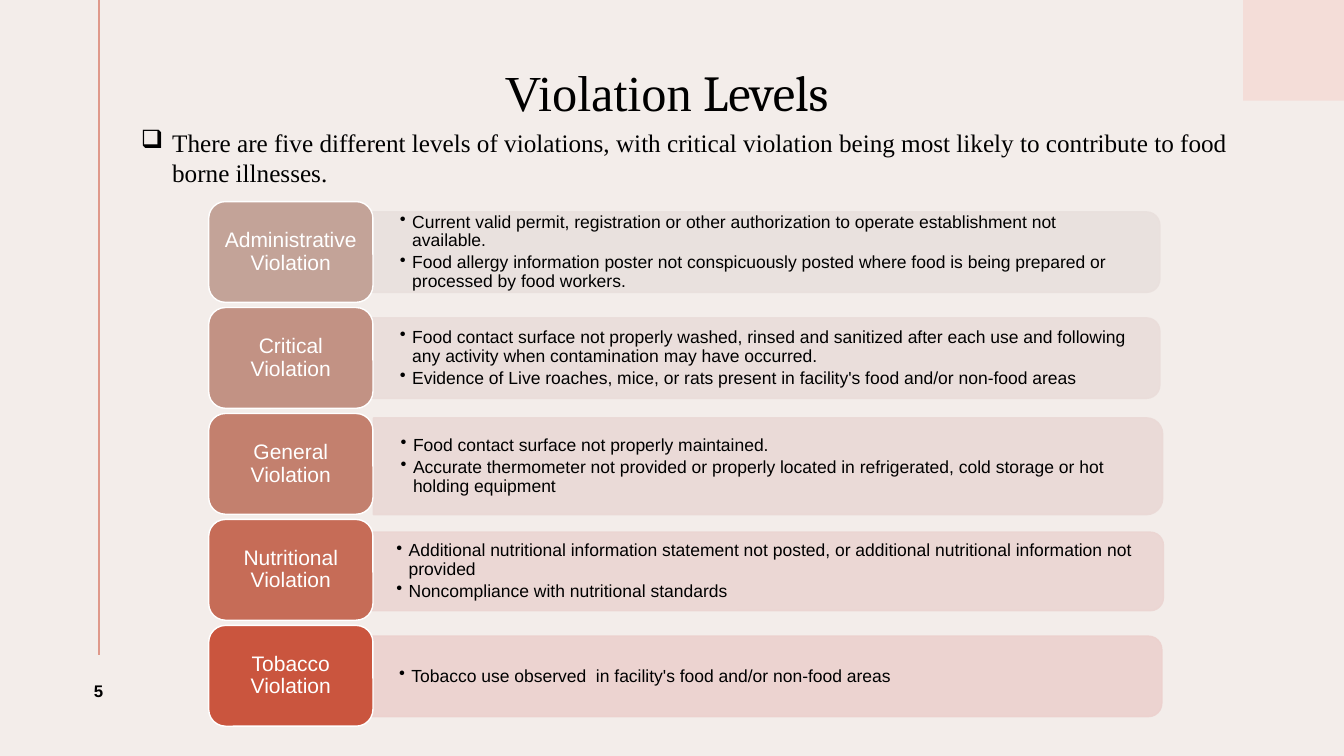
from dataclasses import dataclass

import pptx
import pptx.dml.color
import pptx.enum.shapes
import pptx.enum.text
import pptx.oxml.ns
import pptx.oxml.xmlchemy
import pptx.util
from lxml import etree
from pptx.util import Cm, Pt

Shapes = pptx.enum.shapes.MSO_SHAPE
Align = pptx.enum.text.PP_ALIGN
Anchor = pptx.enum.text.MSO_ANCHOR


@dataclass(frozen=True)
class Theme:
    background: str = "F3EDEA"
    corner: str = "F4DDD8"
    rule: str = "DF998B"
    text: str = "000000"
    light: str = "FFFFFF"
    serif: str = "Times New Roman"
    accent_serif: str = "Cambria"
    sans: str = "Arial"
    title_size: float = 36
    intro_size: float = 18
    label_size: float = 15
    detail_size: float = 12.5
    number_size: float = 12


@dataclass(frozen=True)
class Box:
    """A rectangle in centimetres."""
    left: float
    top: float
    width: float
    height: float


@dataclass(frozen=True)
class Level:
    name: str
    label_color: str
    bar_color: str
    bar: Box
    details: tuple[str, ...]


THEME = Theme()
LABEL_LEFT, LABEL_TOP, LABEL_STEP = 5.26, 5.08, 2.67
LABEL_WIDTH, LABEL_HEIGHT = 4.14, 2.54

LEVELS = (
    Level("Administrative", "C3A398", "E9E0DD", Box(9.39, 5.34, 19.84, 2.03), (
        "Current valid permit, registration or other authorization to operate "
        "establishment not available.",
        "Food allergy information poster not conspicuously posted where food is "
        "being prepared or processed by food workers.")),
    Level("Critical", "C29284", "EADDDA", Box(9.39, 8.01, 19.84, 2.03), (
        "Food contact surface not properly washed, rinsed and sanitized after each "
        "use and following any activity when contamination may have occurred.",
        "Evidence of Live roaches, mice, or rats present in facility's food and/or "
        "non-food areas")),
    Level("General", "C3806E", "EAD9D6", Box(9.41, 10.53, 19.89, 2.44), (
        "Food contact surface not properly maintained.",
        "Accurate thermometer not provided or properly located in refrigerated, "
        "cold storage or hot holding equipment")),
    Level("Nutritional", "C66C57", "EBD5D2", Box(9.3, 13.41, 20.02, 1.98), (
        "Additional nutritional information statement not posted, or additional "
        "nutritional information not provided",
        "Noncompliance with nutritional standards")),
    Level("Tobacco", "CA553E", "ECD1CE", Box(9.37, 16.03, 19.91, 2.03), (
        "Tobacco use observed  in facility's food and/or non-food areas",)),
)


def rgb(color: str) -> pptx.dml.color.RGBColor:
    return pptx.dml.color.RGBColor.from_string(color)


def place(box: Box) -> tuple[Cm, Cm, Cm, Cm]:
    return Cm(box.left), Cm(box.top), Cm(box.width), Cm(box.height)


def add_element(parent, tag: str, **attributes: str):
    return etree.SubElement(parent, pptx.oxml.ns.qn(tag), attributes)


def set_bullet(paragraph, character: str, indent: float) -> None:
    properties = paragraph._p.get_or_add_pPr()
    properties.set("marL", str(Cm(indent)))
    properties.set("indent", str(-Cm(indent)))
    add_element(properties, "a:buChar", char=character)


def set_font(paragraph, name: str, size: float, color: str) -> None:
    paragraph.font.name = name
    paragraph.font.size = Pt(size)
    paragraph.font.color.rgb = rgb(color)


def set_frame(frame, horizontal: float, vertical: float, anchor) -> None:
    """Wrap the text and set its margins, in centimetres, and its anchor."""
    frame.word_wrap = True
    frame.margin_left = frame.margin_right = Cm(horizontal)
    frame.margin_top = frame.margin_bottom = Cm(vertical)
    frame.vertical_anchor = anchor


def add_block(slide, kind, box: Box, fill: str, line: str | None = None):
    shape = slide.shapes.add_shape(kind, *place(box))
    shape.shadow.inherit = False
    shape.fill.solid()
    shape.fill.fore_color.rgb = rgb(fill)
    if line:
        shape.line.color.rgb = rgb(line)
        shape.line.width = Pt(1)
    else:
        shape.line.fill.background()
    return shape


def add_text(slide, box: Box, horizontal: float, vertical: float, anchor):
    frame = slide.shapes.add_textbox(*place(box)).text_frame
    set_frame(frame, horizontal, vertical, anchor)
    return frame


def add_bar(slide, level: Level) -> None:
    """Draw a bar rounded at its right end, with its bulleted details."""
    bar = level.bar
    upright = Box(bar.left + (bar.width - bar.height) / 2,
                  bar.top + (bar.height - bar.width) / 2, bar.height, bar.width)
    shape = add_block(slide, Shapes.ROUND_2_SAME_RECTANGLE, upright,
                      level.bar_color, level.bar_color)
    shape.rotation = 90
    for color in shape._element.spPr.iter(pptx.oxml.ns.qn("a:srgbClr")):
        add_element(color, "a:alpha", val="90000")

    text_box = Box(bar.left, bar.top + 0.1, bar.width - 0.1, bar.height - 0.2)
    frame = add_text(slide, text_box, 0.69, 0.36, Anchor.MIDDLE)
    for index, detail in enumerate(level.details):
        paragraph = frame.add_paragraph() if index else frame.paragraphs[0]
        paragraph.text = detail
        set_bullet(paragraph, "•", 0.31)
        paragraph.line_spacing = 0.9
        paragraph.space_after = Pt(2)
        set_font(paragraph, THEME.sans, THEME.detail_size, THEME.text)


def add_label(slide, level: Level, top: float) -> None:
    box = Box(LABEL_LEFT, top, LABEL_WIDTH, LABEL_HEIGHT)
    shape = add_block(slide, Shapes.ROUNDED_RECTANGLE, box, level.label_color, THEME.light)
    set_frame(shape.text_frame, 0.15, 0.08, Anchor.MIDDLE)
    paragraph = shape.text_frame.paragraphs[0]
    paragraph.text = f"{level.name} Violation"
    paragraph.alignment = Align.CENTER
    paragraph.line_spacing = 0.9
    set_font(paragraph, THEME.sans, THEME.label_size, THEME.light)


def add_decoration(slide) -> None:
    add_block(slide, Shapes.RECTANGLE, Box(31.33, 0, 2.54, 2.54), THEME.corner)
    rule = slide.shapes.add_connector(pptx.enum.shapes.MSO_CONNECTOR.STRAIGHT,
                                      Cm(2.49), 0, Cm(2.49), Cm(16.51))
    rule.line.color.rgb = rgb(THEME.rule)
    rule.line.width = Pt(1.5)
    add_element(rule._element.spPr, "a:effectLst")


def set_title(slide) -> None:
    title = slide.shapes.title
    title.left, title.top, title.width, title.height = place(Box(3.3, 0.51, 27.25, 3.78))
    frame = title.text_frame
    set_frame(frame, 0.25, 0.13, Anchor.MIDDLE)
    frame.margin_left = 0
    frame.auto_size = pptx.enum.text.MSO_AUTO_SIZE.NONE
    paragraph = frame.paragraphs[0]
    paragraph.alignment = Align.CENTER
    paragraph.line_spacing = 0.9
    set_font(paragraph, THEME.serif, THEME.title_size, THEME.text)
    for words, font_name in (("Violation", THEME.serif), (" Levels", THEME.accent_serif)):
        run = paragraph.add_run()
        run.text = words
        run.font.name = font_name


def add_intro(slide) -> None:
    frame = add_text(slide, Box(3.3, 3.07, 29.08, 2.57), 0.25, 0.13, Anchor.TOP)
    paragraph = frame.paragraphs[0]
    paragraph.text = ("There are five different levels of violations, with critical violation "
                      "being most likely to contribute to food borne illnesses.")
    set_bullet(paragraph, "❑", 0.79)
    set_font(paragraph, THEME.serif, THEME.intro_size, THEME.text)


def add_page_number(slide) -> None:
    frame = add_text(slide, Box(1.14, 16.51, 2.69, 1.8), 0.25, 0.13, Anchor.MIDDLE)
    paragraph = frame.paragraphs[0]
    paragraph.text = "5"
    paragraph.alignment = Align.CENTER
    set_font(paragraph, THEME.sans, THEME.number_size, THEME.text)
    paragraph.font.bold = True


def main() -> None:
    presentation = pptx.Presentation()
    presentation.slide_width, presentation.slide_height = Cm(33.87), Cm(19.05)
    slide = presentation.slides.add_slide(presentation.slide_layouts.get_by_name("Title Only"))
    slide.background.fill.solid()
    slide.background.fill.fore_color.rgb = rgb(THEME.background)
    add_decoration(slide)
    set_title(slide)
    add_page_number(slide)
    add_intro(slide)
    for index, level in enumerate(LEVELS):
        add_bar(slide, level)
        add_label(slide, level, LABEL_TOP + index * LABEL_STEP)
    presentation.save("out.pptx")


if __name__ == "__main__":
    main()
